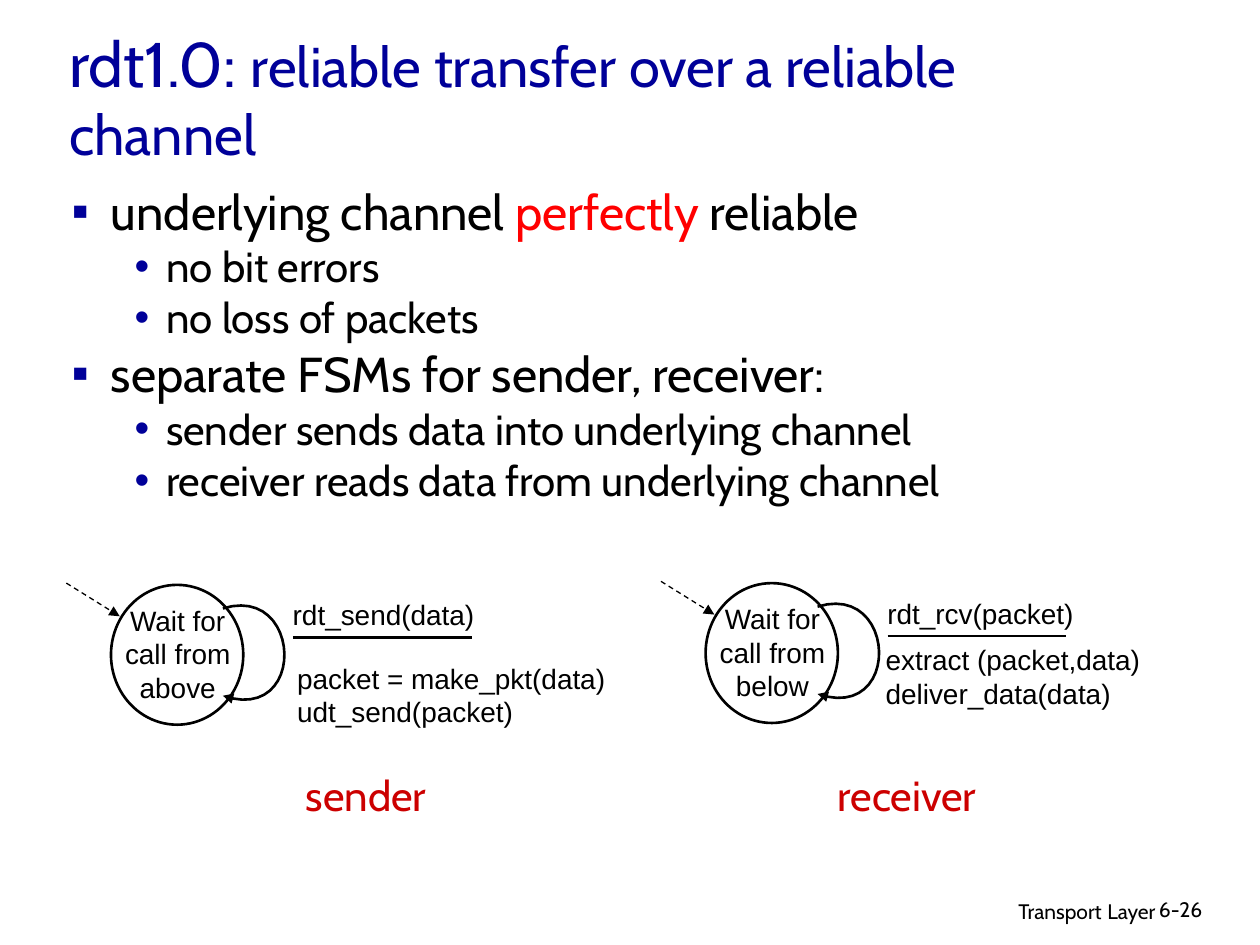
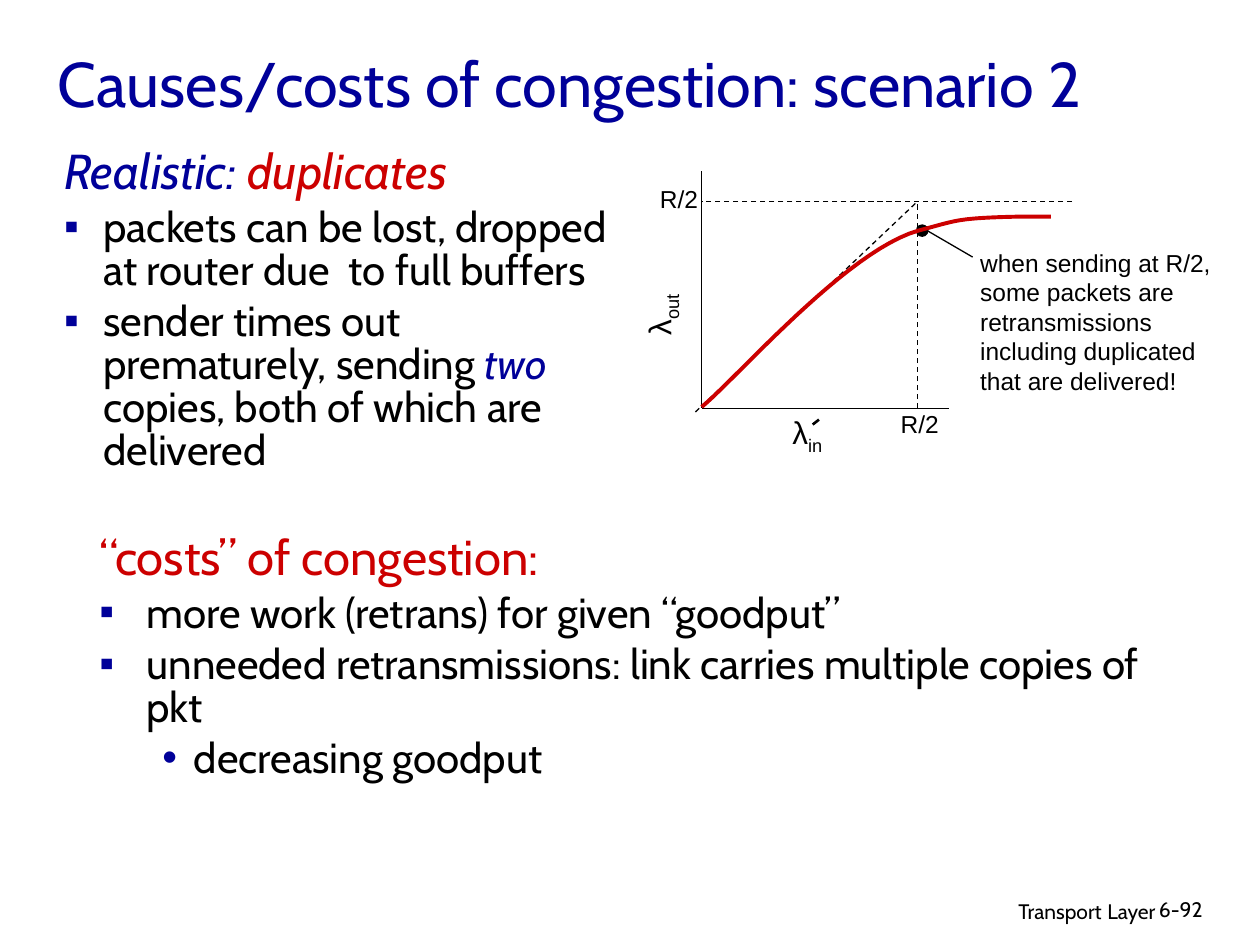
from lxml import etree
from pptx import Presentation
from pptx import util as u
from pptx.dml.color import RGBColor
from pptx.enum import dml, shapes, text
from pptx.oxml import ns

Pt = u.Pt
COLORS = {
    "navy": "000099",
    "black": "000000",
    "white": "FFFFFF",
    "red": "FF0000",
    "crimson": "CC0000",
}
HEADING, LABEL = "Cabin", "Arial"
LEFT, CENTER, RIGHT = text.PP_ALIGN.LEFT, text.PP_ALIGN.CENTER, text.PP_ALIGN.RIGHT
# Bullet style: (character, left indent, hanging indent)
SQUARE = ("▪", 22.5, 22.5)
WIDE_SQUARE = ("▪", 27, 27)
DOT = ("•", 54, 18)
PLAIN = (None, 27, 27)


def rgb(color):
    return RGBColor.from_string(COLORS[color])


def add_xml(parent, tag, **attributes):
    return etree.SubElement(parent, ns.qn(tag), **attributes)


# --- Text ---

def style_font(font, size=None, color=None, name=None, italic=None):
    if size:
        font.size = Pt(size)
    if color:
        font.color.rgb = rgb(color)
    if name:
        font.name = name
    if italic is not None:
        font.italic = italic


def fill_paragraph(paragraph, content, **font):
    """Write a string, or a list of strings and (string, overrides) pairs."""
    style_font(paragraph.font, **font)
    for part in [content] if isinstance(content, str) else content:
        words, overrides = (part, {}) if isinstance(part, str) else part
        overrides = dict(overrides)
        baseline = overrides.pop("baseline", None)
        run = paragraph.add_run()
        run.text = words
        style_font(run.font, **overrides)
        if baseline:
            run._r.get_or_add_rPr().set("baseline", str(baseline * 1000))


def add_frame(slide, box, wrap=True, anchor=text.MSO_ANCHOR.TOP, rotation=0):
    shape = slide.shapes.add_textbox(*map(Pt, box))
    shape.rotation = rotation
    frame = shape.text_frame
    frame.word_wrap = wrap
    frame.vertical_anchor = anchor
    return frame


def add_text(slide, box, lines, align=LEFT, size=16, color="black", name=LABEL, **frame_options):
    frame = add_frame(slide, box, **frame_options)
    for index, line in enumerate(lines):
        paragraph = frame.add_paragraph() if index else frame.paragraphs[0]
        paragraph.alignment = align
        fill_paragraph(paragraph, line, size=size, color=color, name=name)


def add_bullets(slide, box, items):
    """Each item is (bullet style, size, color, content)."""
    frame = add_frame(slide, box)
    for index, (bullet, size, color, content) in enumerate(items):
        paragraph = frame.add_paragraph() if index else frame.paragraphs[0]
        paragraph.line_spacing = 0.85
        paragraph.space_before = Pt(size * 0.2)
        character, indent, hanging = bullet
        properties = paragraph._p.get_or_add_pPr()
        properties.set("marL", str(Pt(indent)))
        properties.set("indent", str(-Pt(hanging)))
        if character:
            add_xml(add_xml(properties, "a:buClr"), "a:srgbClr", val=COLORS["navy"])
            add_xml(properties, "a:buFont", typeface=LABEL)
            add_xml(properties, "a:buChar", char=character)
        fill_paragraph(paragraph, content, size=size, color=color, name=HEADING)


def add_title(slide, box, content):
    add_text(slide, box, [content], size=36, color="navy", name=HEADING,
             anchor=text.MSO_ANCHOR.MIDDLE)


def add_footer(slide, number):
    add_text(slide, (439.2, 507.6, 228.2, 22.3),
             [["Transport", (" ", {"size": 14}), "Layer"]],
             align=RIGHT, size=12, name=HEADING)
    add_text(slide, (655.2, 509, 53.3, 21.6), [number], size=12, name=HEADING)


# --- Lines and shapes ---

def style_line(shape, width, color="black", dashed=False, arrow=False):
    shape.line.color.rgb = rgb(color)
    shape.line.width = Pt(width)
    if dashed:
        shape.line.dash_style = dml.MSO_LINE.DASH
    if arrow:
        add_xml(shape._element.spPr.find(ns.qn("a:ln")), "a:tailEnd", type="triangle")


def add_line(slide, start, end, width=0.75, **options):
    line = slide.shapes.add_connector(
        shapes.MSO_CONNECTOR.STRAIGHT, *map(Pt, (*start, *end)))
    style_line(line, width, **options)
    add_xml(line._element.spPr, "a:effectLst")


def add_ellipse(slide, box, fill):
    ellipse = slide.shapes.add_shape(shapes.MSO_SHAPE.OVAL, *map(Pt, box))
    ellipse.shadow.inherit = False
    ellipse.fill.solid()
    ellipse.fill.fore_color.rgb = rgb(fill)
    return ellipse


def bezier_point(t, *controls):
    weights = ((1 - t) ** 3, 3 * t * (1 - t) ** 2, 3 * t * t * (1 - t), t ** 3)
    return tuple(Pt(sum(w * c[axis] for w, c in zip(weights, controls))) for axis in (0, 1))


def add_curve(slide, start, segments, width, steps=24, **options):
    """Trace cubic segments, each given by two control points and an end."""
    points, corner = [], start
    for segment in segments:
        points += [bezier_point(step / steps, corner, *segment) for step in range(1, steps + 1)]
        corner = segment[-1]
    builder = slide.shapes.build_freeform(*map(Pt, start))
    builder.add_line_segments(points, close=False)
    curve = builder.convert_to_shape()
    curve.shadow.inherit = False
    curve.fill.background()
    style_line(curve, width, **options)


def add_state_machine(slide, left, top, state, event, actions, action_corner):
    """One state with its entry arrow, loop and event / actions label."""
    def at(x, y):
        return left + x, top + y

    style_line(add_ellipse(slide, (left, top, 75.6, 79.9), "white"), 1.5)
    add_text(slide, (*at(-5, 7), 86.4, 72), [state], align=CENTER)
    add_curve(slide, at(64, 13.5), [(at(109.4, -0.7), at(112.3, 79.9), at(64, 63.4))],
              1.5, arrow=True)
    add_line(slide, at(-25.5, -1), at(5, 18), dashed=True, arrow=True)
    add_text(slide, (*at(96.8, 4), 178, 26.6), [event])
    add_line(slide, at(104, 30.2), at(206.2, 30.2), 1.5)
    add_text(slide, (*action_corner, 211, 46.8), actions)


# --- Slides ---

def build_reliable_channel(slide):
    add_title(slide, (32.4, 15.1, 630, 79.2),
              ["rdt1.0: ", ("reliable transfer over a reliable channel", {"size": 32})])
    add_bullets(slide, (33.8, 105.1, 622, 237.6), [
        (SQUARE, 28, "black",
         ["underlying channel ", ("perfectly", {"color": "red"}), " reliable"]),
        (DOT, 24, "black", "no bit errors"),
        (DOT, 24, "black", "no loss of packets"),
        (SQUARE, 28, "black", "separate FSMs for sender, receiver:"),
        (DOT, 24, "black", "sender sends data into underlying channel"),
        (DOT, 24, "black", "receiver reads data from underlying channel"),
    ])
    add_state_machine(slide, 63.4, 334.2, "Wait for call from above", "rdt_send(data)",
                      ["packet = make_pkt(data)", "udt_send(packet)"], (162.7, 374.4))
    add_state_machine(slide, 403.2, 333.2, "Wait for call from below", "rdt_rcv(packet)",
                      ["extract (packet,data)", "deliver_data(data)"], (499, 363.6))
    for role, left, width in (("sender", 166.3, 85.7), ("receiver", 469.4, 97.9)):
        add_text(slide, (left, 436.3, width, 36), [role], align=CENTER,
                 size=24, color="crimson", name=HEADING, wrap=False)
    add_footer(slide, "6-26")


def add_throughput_graph(slide):
    left, bottom, limit_x, limit_y = 401, 233.3, 524.2, 115.2
    # Axes and guides
    add_line(slide, (left, 97.9), (left, bottom))
    add_line(slide, (542.2, bottom), (left, bottom))
    add_line(slide, (612.7, limit_y), (left, limit_y), dashed=True)
    add_line(slide, (397.4, 235.4), (limit_x, limit_y), dashed=True)
    add_line(slide, (limit_x, bottom), (limit_x, limit_y), dashed=True)
    # Axis labels
    for corner in ((370, 101.5), (507.6, 230.4)):
        add_text(slide, (*corner, 36, 23.8), ["R/2"], size=14, wrap=False)
    add_text(slide, (352, 159.8, 49, 28.8), [["λ", ("out", {"baseline": -25})]],
             size=18, rotation=270)
    add_text(slide, (445.7, 232.6, 33.8, 28.8), [["λ", ("in", {"baseline": -25})]],
             size=18, wrap=False)
    add_line(slide, (464.4, 242.6), (468, 239.8), 1.5)
    # Marked point and its note
    add_ellipse(slide, (523.4, 128.2, 7.2, 7.2), "black").line.fill.background()
    add_text(slide, (553, 138.2, 148.3, 90.7),
             ["when sending at R/2, some packets are retransmissions "
              "including duplicated that are delivered!"], size=14)
    add_line(slide, (555.8, 146.9), (524.9, 128.9), arrow=True)
    # Throughput curve
    add_curve(slide, (left, 232.6), [
        ((421.2, 216), (483.8, 143.3), (524.9, 131.8)),
        ((547.2, 126), (545.8, 124.6), (583.9, 123.8)),
        ((600.5, 123.8), (596.9, 123.8), (600.5, 123.8)),
    ], 2.25, color="crimson")


def build_congestion(slide):
    add_throughput_graph(slide)
    add_title(slide, (25.9, 9.4, 612, 68.4),
              ["Causes/costs of congestion: scenario 2", (" ", {"size": 44})])
    add_bullets(slide, (29.5, 82.1, 339.1, 151.2), [
        (PLAIN, 28, "navy", [("Realistic: ", {"italic": True}),
                             ("duplicates", {"color": "crimson", "italic": True})]),
        (SQUARE, 24, "black", "packets can be lost, dropped at router due  to full buffers"),
        (SQUARE, 24, "black", ["sender times out prematurely, sending ",
                               ("two ", {"color": "navy", "italic": True}),
                               "copies, both of which are delivered"]),
    ])
    add_bullets(slide, (49.7, 302.4, 641.5, 77.8), [
        (PLAIN, 28, "crimson", "“costs” of congestion:"),
        (WIDE_SQUARE, 24, "black", "more work (retrans) for given “goodput”"),
        (WIDE_SQUARE, 24, "black",
         "unneeded retransmissions: link carries multiple copies of pkt"),
        (DOT, 24, "black", "decreasing goodput"),
    ])
    add_footer(slide, "6-92")


def main():
    presentation = Presentation()
    presentation.slide_width, presentation.slide_height = Pt(720), Pt(540)
    blank = presentation.slide_layouts[6]
    for build in (build_reliable_channel, build_congestion):
        build(presentation.slides.add_slide(blank))
    presentation.save("out.pptx")


if __name__ == "__main__":
    main()
